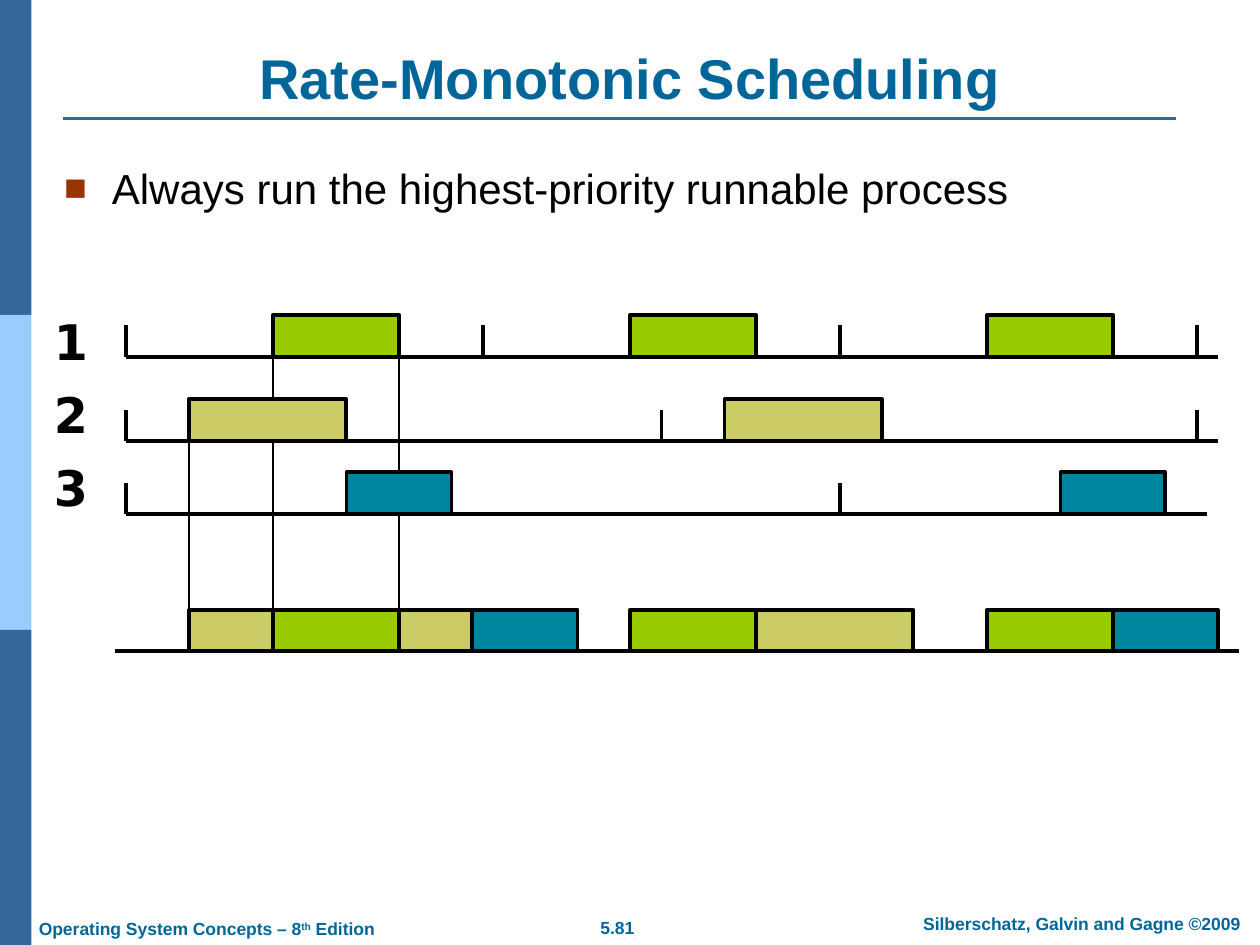
from dataclasses import dataclass
from lxml import etree
from pptx import Presentation
from pptx.dml.color import RGBColor
from pptx.enum.shapes import MSO_CONNECTOR, MSO_SHAPE
from pptx.enum.text import MSO_ANCHOR, PP_ALIGN
from pptx.oxml.ns import qn
from pptx.util import Inches, Pt


@dataclass(frozen=True)
class Theme:
    ink: str = "000000"
    heading: str = "006699"
    band: str = "336699"
    band_light: str = "99CCFF"
    bullet: str = "993300"
    process_1: str = "99CC00"
    process_2: str = "CCCC66"
    process_3: str = "0085A0"
    font: str = "Arial"
    number_font: str = "DejaVu Sans"
    title_size: float = 32
    body_size: float = 24
    number_size: float = 28
    footer_size: float = 10
    thin: float = 1
    rule: float = 1.5
    thick: float = 2.25


class SlideBuilder:
    def __init__(self, slide, theme):
        self.shapes = slide.shapes
        self.theme = theme

    def box(self, left, top, width, height, fill, outlined=True):
        box = self.shapes.add_shape(
            MSO_SHAPE.RECTANGLE, *map(Inches, (left, top, width, height)))
        box.shadow.inherit = False
        box.fill.solid()
        box.fill.fore_color.rgb = RGBColor.from_string(fill)
        if outlined:
            box.line.color.rgb = RGBColor.from_string(self.theme.ink)
            box.line.width = Pt(self.theme.thick)
        else:
            box.line.fill.background()

    def line(self, x1, y1, x2, y2, weight, color=None):
        line = self.shapes.add_connector(
            MSO_CONNECTOR.STRAIGHT, *map(Inches, (x1, y1, x2, y2)))
        line.line.color.rgb = RGBColor.from_string(color or self.theme.ink)
        line.line.width = Pt(weight)
        etree.SubElement(line._element.spPr, qn("a:effectLst"))

    def text(self, left, top, width, height, runs, size, color,
             font=None, bold=True, align=PP_ALIGN.LEFT,
             anchor=MSO_ANCHOR.TOP):
        frame = self.shapes.add_textbox(
            *map(Inches, (left, top, width, height))).text_frame
        frame.word_wrap = True
        frame.vertical_anchor = anchor
        paragraph = frame.paragraphs[0]
        paragraph.alignment = align
        style = {"name": font or self.theme.font, "size": Pt(size), "bold": bold}
        for words, baseline in runs:
            run = paragraph.add_run()
            run.text = words
            for attribute, value in style.items():
                setattr(run.font, attribute, value)
            run.font.color.rgb = RGBColor.from_string(color)
            if baseline:
                run._r.get_or_add_rPr().set("baseline", str(baseline))
        return paragraph

    def bullet(self, left, top, width, height, words):
        paragraph = self.text(left, top, width, height, [(words, 0)],
                              self.theme.body_size, self.theme.ink, bold=False)
        properties = paragraph._p.get_or_add_pPr()
        properties.set("marL", str(Inches(0.38)))
        properties.set("indent", str(Inches(-0.38)))
        color = etree.SubElement(properties, qn("a:buClr"))
        etree.SubElement(color, qn("a:srgbClr"), val=self.theme.bullet)
        etree.SubElement(properties, qn("a:buSzPct"), val="90000")
        etree.SubElement(properties, qn("a:buFont"), typeface=self.theme.font)
        etree.SubElement(properties, qn("a:buChar"), char="■")


ORIGIN = 1
UNIT = 1 / 12
BOX_HEIGHT = 0.33
TICK_HEIGHT = 0.25
RESULT_BASELINE = 5.17


def at(time):
    return ORIGIN + time * UNIT


def add_frame(builder):
    theme = builder.theme
    for index, color in enumerate((theme.band, theme.band_light, theme.band)):
        builder.box(0, 2.5 * index, 0.25, 2.5, color, outlined=False)
    builder.line(0.5, 0.94, 9.33, 0.94, theme.rule, theme.band)
    footer = (theme.footer_size, theme.heading)
    builder.text(4.41, 7.23, 0.98, 0.27, [("5.81", 0)], *footer,
                 align=PP_ALIGN.CENTER)
    builder.text(7.1, 7.2, 2.97, 0.27,
                 [("Silberschatz, Galvin and Gagne ©2009", 0)], *footer,
                 align=PP_ALIGN.CENTER)
    builder.text(0.21, 7.24, 3.1, 0.27,
                 [("Operating System Concepts – 8", 0), ("th", 30000),
                  (" Edition", 0)], *footer)
    builder.text(0.5, 0.3, 9, 0.63, [("Rate-Monotonic Scheduling", 0)],
                 theme.title_size, theme.heading,
                 align=PP_ALIGN.CENTER, anchor=MSO_ANCHOR.BOTTOM)
    builder.bullet(0.41, 1.24, 9.12, 0.67,
                   "Always run the highest-priority runnable process")


def add_timeline(builder, baseline, start, end, jobs):
    builder.line(at(end), baseline, at(start), baseline, builder.theme.thick)
    for release, duration, color in jobs:
        builder.box(at(release), baseline - BOX_HEIGHT,
                    duration * UNIT, BOX_HEIGHT, color)


def add_schedule(builder):
    theme = builder.theme
    one, two, three = theme.process_1, theme.process_2, theme.process_3

    for time, top, bottom in ((6, 3.42, 5.08), (14, 2.83, 4.83), (26, 2.83, 4.83)):
        builder.line(at(time), top, at(time), bottom, theme.thin)

    processes = (
        ("1", 2.83, 2.42, 34, 14, 12, 3, 4, 104, one),
        ("2", 3.5, 3, 51, 6, 15, 2, 3, 104, two),
        ("3", 4.08, 3.58, 68, 21, 10, 2, 2, 103, three),
    )
    for (number, baseline, label_top, period, release, duration,
         job_count, tick_count, end, color) in processes:
        jobs = [(release + period * job, duration, color)
                for job in range(job_count)]
        add_timeline(builder, baseline, 0, end, jobs)
        for tick in range(tick_count):
            x = at(period * tick)
            builder.line(x, baseline - TICK_HEIGHT, x, baseline, theme.thick)
        builder.text(0.33, label_top, 0.58, 0.57, [(number, 0)],
                     theme.number_size, theme.ink, theme.number_font)

    add_timeline(builder, RESULT_BASELINE, -1, 106, (
        (6, 15, two), (26, 7, two), (14, 12, one), (33, 10, three),
        (48, 12, one), (60, 15, two), (82, 12, one), (94, 10, three)))


def main():
    presentation = Presentation()
    presentation.slide_width = Inches(10)
    presentation.slide_height = Inches(7.5)
    slide = presentation.slides.add_slide(presentation.slide_layouts[6])
    builder = SlideBuilder(slide, Theme())
    add_frame(builder)
    add_schedule(builder)
    presentation.save("out.pptx")


if __name__ == "__main__":
    main()
